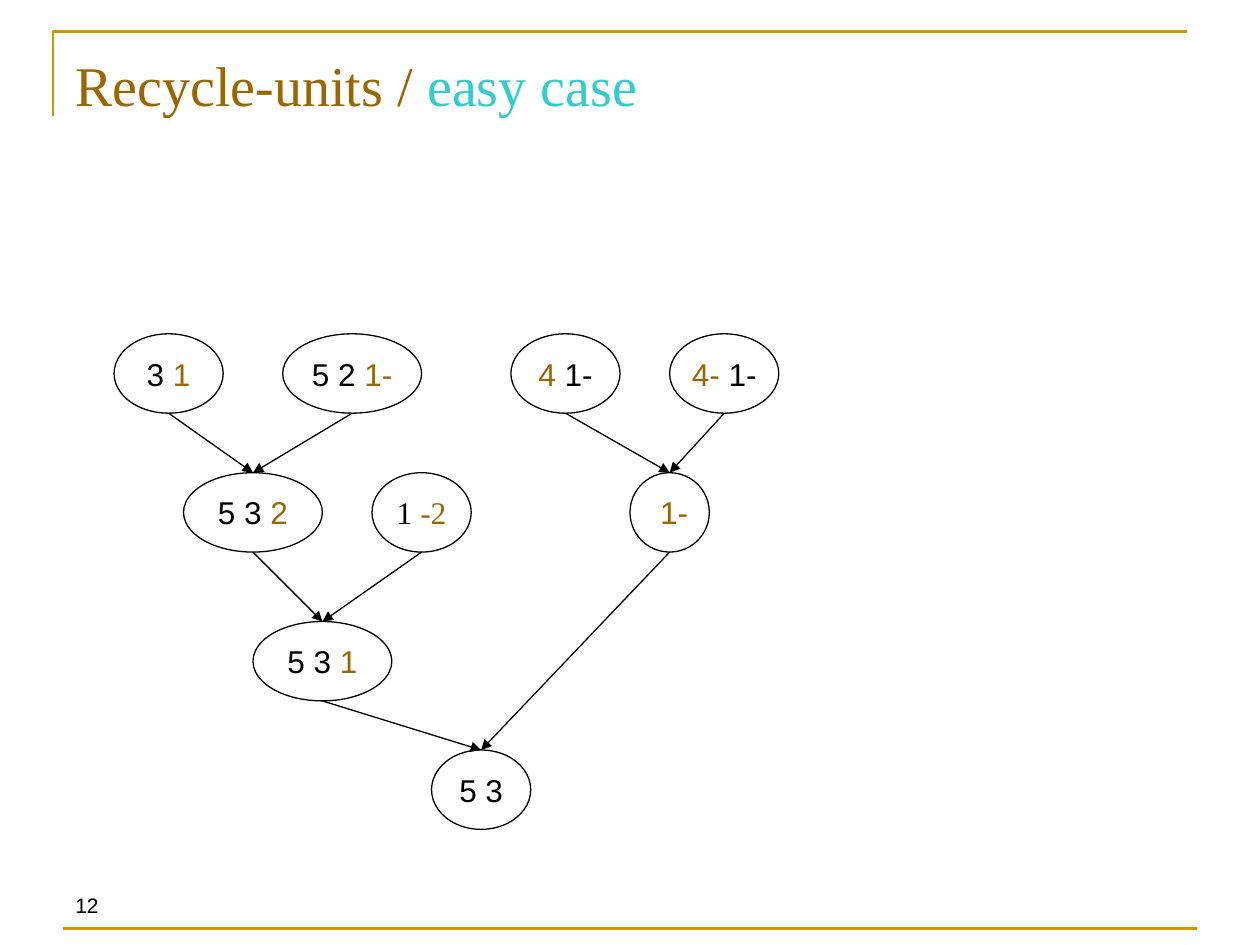
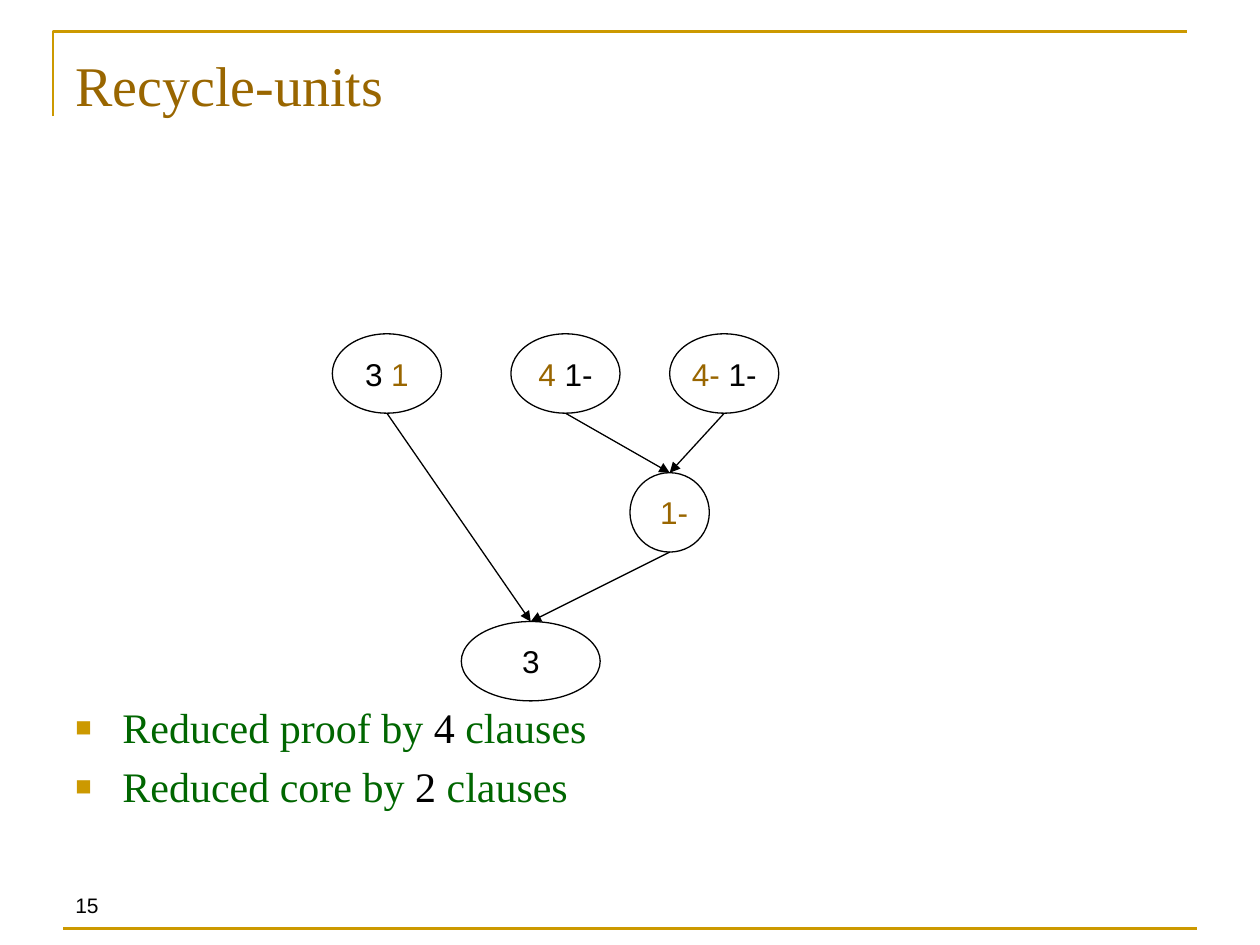
from lxml import etree
from pptx import Presentation
from pptx import util as u
from pptx.dml.color import RGBColor
from pptx.enum import shapes, text
from pptx.oxml import ns

BLACK, BROWN, GOLD, TEAL, GREEN = "000000", "996600", "CC9900", "33CCCC", "006600"
ROWS = (6.73, 9.53, 12.53, 15.12)
NODE_HEIGHT = 1.6


def rgb(value):
    return RGBColor.from_string(value)


def add_xml(parent, tag, **attributes):
    return etree.SubElement(parent, ns.qn(tag), attributes)


class Deck:
    font = "Times New Roman"
    digit_font = "Arial"

    def __init__(self):
        self.prs = Presentation()
        self.prs.slide_width, self.prs.slide_height = u.Cm(25.4), u.Cm(19.05)
        self.slide = None

    def new_slide(self, number, title):
        self.slide = self.prs.slides.add_slide(self.prs.slide_layouts[6])
        self.bracket((1.07, 2.34), (1.07, 0.64), (23.93, 0.64))
        self.line((1.27, 18.72), (24.13, 18.72), GOLD, 1.5)
        footer = self.text_box(1.27, 17.35, 5.92, 1.27)
        footer.vertical_anchor = text.MSO_ANCHOR.BOTTOM
        self.fill_paragraph(footer.paragraphs[0], [(number, BLACK)], 12, rtl=True)
        heading = self.text_box(1.27, 0.76, 22.86, 3.18)
        heading.margin_top = u.Cm(0.25)
        self.fill_paragraph(heading.paragraphs[0], title, 32)

    def text_box(self, left, top, width, height):
        frame = self.slide.shapes.add_textbox(*map(u.Cm, (left, top, width, height))).text_frame
        frame.word_wrap = True
        return frame

    def fill_paragraph(self, paragraph, runs, size, align=text.PP_ALIGN.LEFT, rtl=False):
        paragraph.alignment = align
        paragraph.font.size = u.Pt(size)
        paragraph.font.name = self.font
        properties = paragraph._p.get_or_add_pPr()
        if rtl:
            properties.set("rtl", "1")
            add_xml(properties.find(ns.qn("a:defRPr")), "a:cs", typeface=self.digit_font)
        for words, color in runs:
            run = paragraph.add_run()
            run.text = words
            run.font.color.rgb = rgb(color)

    def outline(self, shape, color, weight):
        shape.shadow.inherit = False
        shape.fill.background()
        shape.line.color.rgb = rgb(color)
        shape.line.width = u.Pt(weight)

    def bracket(self, start, *corners):
        builder = self.slide.shapes.build_freeform(*map(u.Cm, start))
        builder.add_line_segments([tuple(map(u.Cm, corner)) for corner in corners], close=False)
        self.outline(builder.convert_to_shape(), GOLD, 1.5)

    def line(self, start, end, color=BLACK, weight=0.75, arrow=False):
        connector = self.slide.shapes.add_connector(
            shapes.MSO_CONNECTOR.STRAIGHT, *map(u.Cm, start + end))
        connector.line.color.rgb = rgb(color)
        connector.line.width = u.Pt(weight)
        if arrow:
            add_xml(connector.line._get_or_add_ln(), "a:tailEnd", type="triangle")
        add_xml(connector._element.spPr, "a:effectLst")

    def clause(self, center, row, width, literals, rtl=True):
        top = ROWS[row]
        oval = self.slide.shapes.add_shape(
            shapes.MSO_SHAPE.OVAL,
            *map(u.Cm, (center - width / 2, top, width, NODE_HEIGHT)))
        self.outline(oval, BLACK, 0.75)
        frame = oval.text_frame
        frame.word_wrap = False
        frame.vertical_anchor = text.MSO_ANCHOR.MIDDLE
        self.fill_paragraph(frame.paragraphs[0], literals, 18, text.PP_ALIGN.CENTER, rtl)
        return center, top

    def resolve(self, resolvent, *parents):
        for center, top in parents:
            self.line((center, top + NODE_HEIGHT), resolvent, arrow=True)

    def unit_branch(self):
        positive = self.clause(11.4, 0, 2.2, [("-1 ", BLACK), ("4", BROWN)])
        negative = self.clause(14.6, 0, 2.2, [("-1 ", BLACK), ("-4", BROWN)])
        unit = self.clause(13.5, 1, 1.6, [("-1 ", BROWN)])
        self.resolve(unit, positive, negative)
        return unit

    def bullets(self, items):
        frame = self.text_box(1.27, 4.45, 22.86, 12.57)
        frame.margin_top = u.Cm(9.7)
        for index, runs in enumerate(items):
            paragraph = frame.paragraphs[0] if index == 0 else frame.add_paragraph()
            paragraph.space_before = u.Pt(4.8 if index else 0)
            self.fill_paragraph(paragraph, runs, 24)
            properties = paragraph._p.get_or_add_pPr()
            properties.set("marL", str(u.Cm(0.95)))
            properties.set("indent", str(u.Cm(-0.95)))
            defaults = properties.find(ns.qn("a:defRPr"))
            add_xml(add_xml(properties, "a:buClr"), "a:srgbClr", val=GOLD)
            add_xml(properties, "a:buSzPct", val="65000")
            add_xml(properties, "a:buFont", typeface=self.digit_font)
            add_xml(properties, "a:buChar", char="■")
            properties.append(defaults)


def easy_case(deck):
    deck.new_slide("12", [("Recycle-units / ", BROWN), ("easy case", TEAL)])
    clause_31 = deck.clause(3.4, 0, 2.2, [("1", BROWN), (" 3", BLACK)])
    clause_521 = deck.clause(7.1, 0, 2.8, [("-1", BROWN), (" 2 5", BLACK)])
    clause_532 = deck.clause(5.1, 1, 2.8, [("2", BROWN), (" 3 5", BLACK)])
    clause_12 = deck.clause(8.5, 1, 2, [("1 ", BLACK), ("-2", BROWN)], rtl=False)
    clause_531 = deck.clause(6.5, 2, 2.8, [("1", BROWN), (" 3 5", BLACK)])
    unit = deck.unit_branch()
    clause_53 = deck.clause(9.7, 3, 2, [("3 5", BLACK)])
    deck.resolve(clause_532, clause_31, clause_521)
    deck.resolve(clause_531, clause_532, clause_12)
    deck.resolve(clause_53, unit, clause_531)


def reduced_proof(deck):
    deck.new_slide("15", [("Recycle-units", BROWN)])
    clause_31 = deck.clause(7.8, 0, 2.2, [("1", BROWN), (" 3", BLACK)])
    clause_3 = deck.clause(10.7, 2, 2.8, [("3", BLACK)])
    unit = deck.unit_branch()
    deck.resolve(clause_3, clause_31, unit)
    deck.bullets([
        [(f"Reduced {target} by ", GREEN), (count, BLACK), (" clauses", GREEN)]
        for target, count in (("proof", "4"), ("core", "2"))])


def main():
    deck = Deck()
    easy_case(deck)
    reduced_proof(deck)
    deck.prs.save("out.pptx")


if __name__ == "__main__":
    main()
